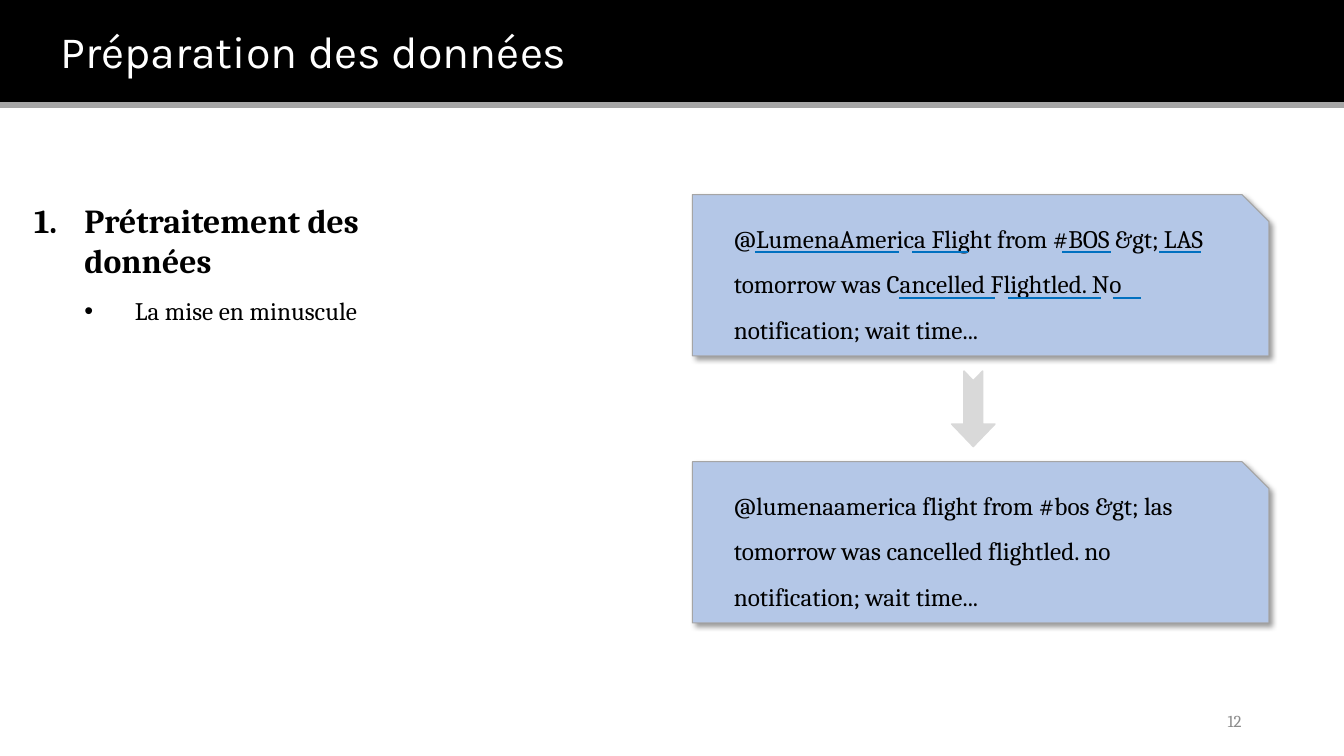
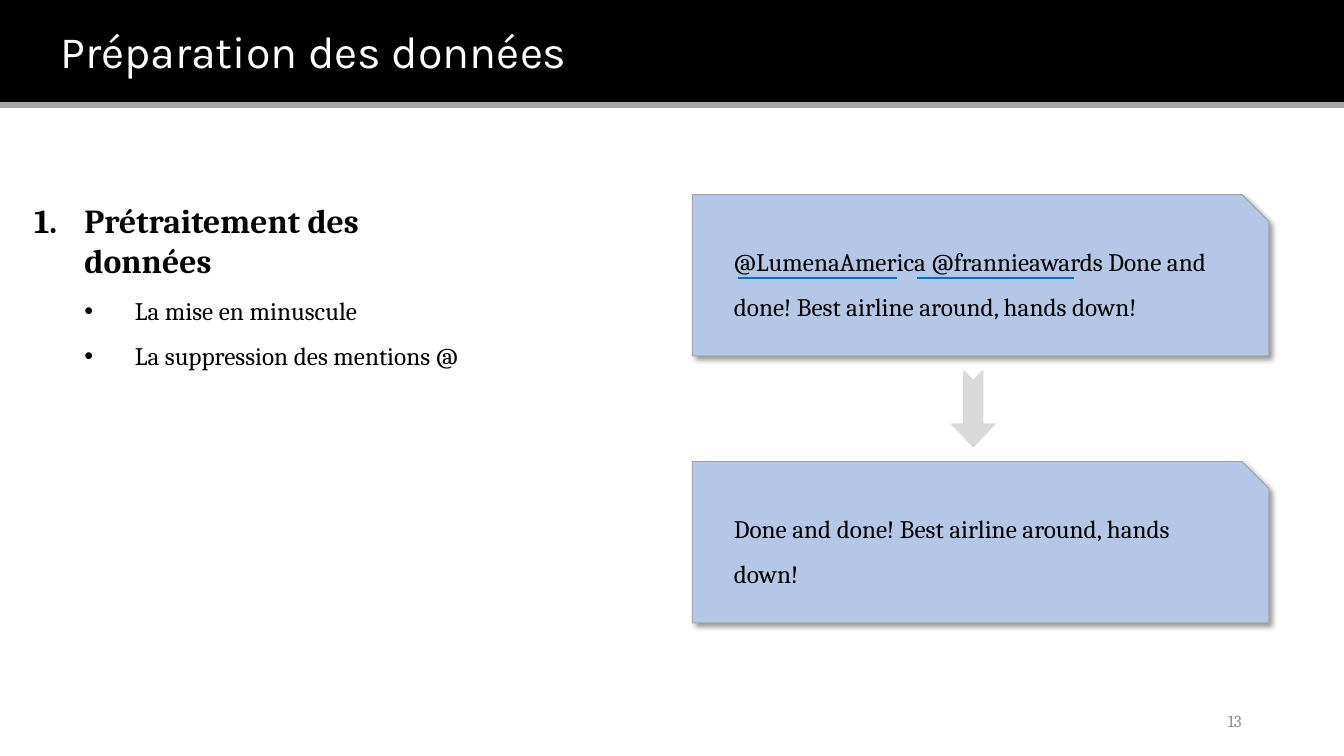
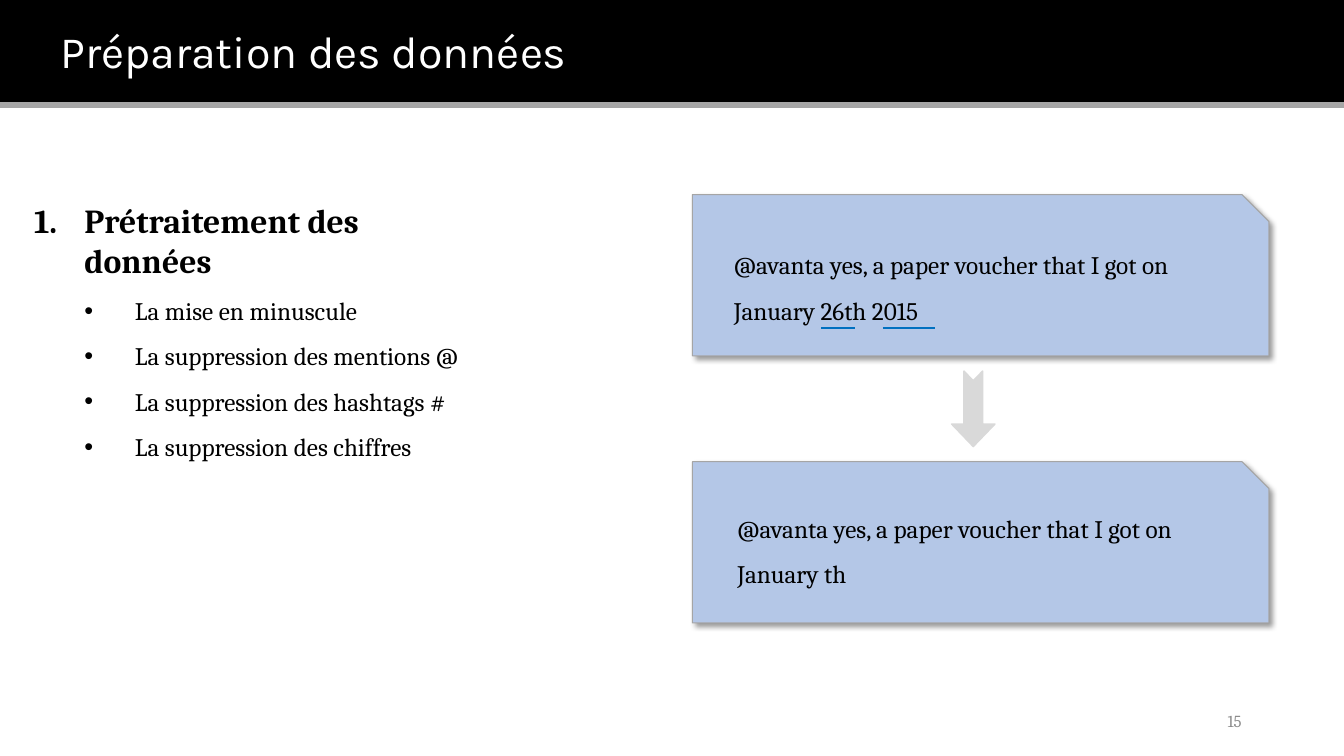
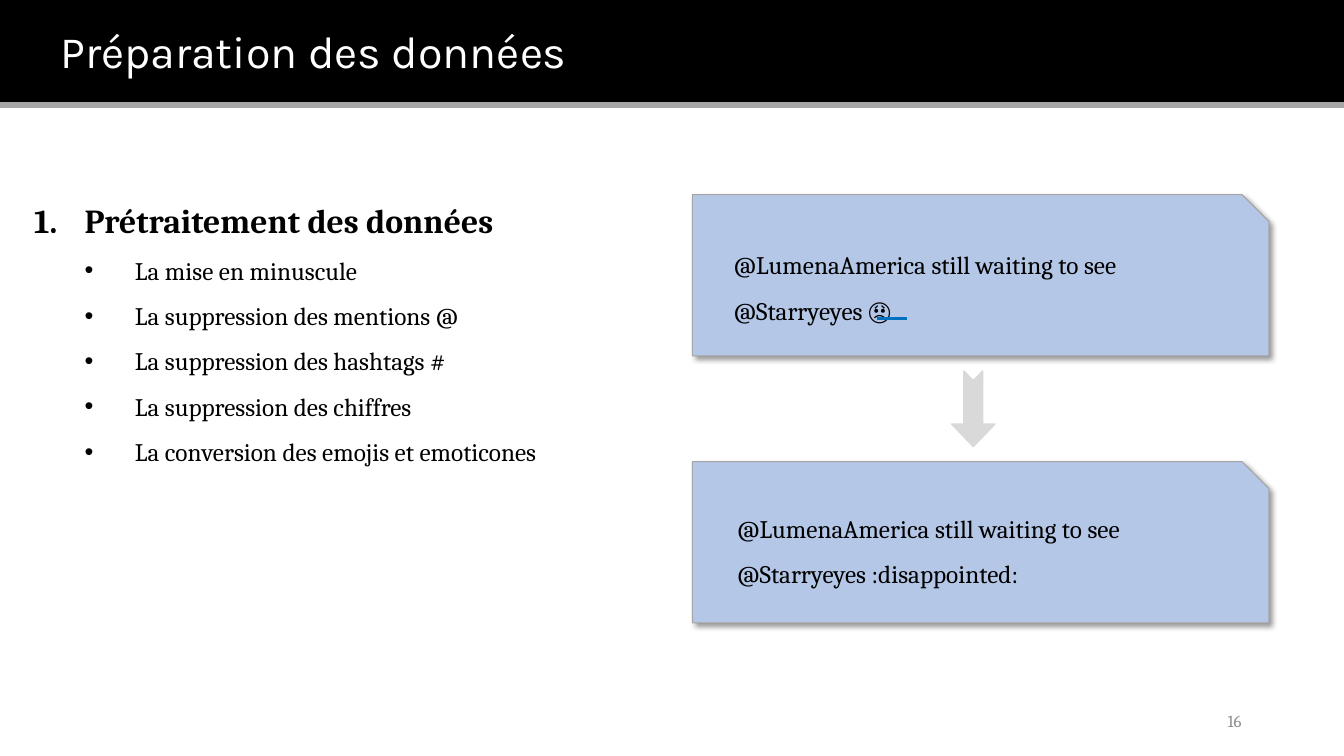
from dataclasses import dataclass

from lxml import etree
from pptx import Presentation
from pptx.dml.color import RGBColor
from pptx.enum.shapes import MSO_CONNECTOR, MSO_SHAPE
from pptx.enum.text import MSO_ANCHOR, MSO_AUTO_SIZE, PP_ALIGN
from pptx.oxml import parse_xml
from pptx.oxml.ns import nsdecls, qn
from pptx.shapes.autoshape import Shape
from pptx.slide import Slide
from pptx.text.text import TextFrame, _Paragraph
from pptx.util import Pt

RECTANGLE = MSO_SHAPE.RECTANGLE
SNIPPED_CARD = MSO_SHAPE.SNIP_1_RECTANGLE
NOTCHED_ARROW = MSO_SHAPE.NOTCHED_RIGHT_ARROW
STRAIGHT = MSO_CONNECTOR.STRAIGHT
MIDDLE = MSO_ANCHOR.MIDDLE
LEFT = PP_ALIGN.LEFT
RIGHT = PP_ALIGN.RIGHT
GROW = MSO_AUTO_SIZE.SHAPE_TO_FIT_TEXT

BLACK = RGBColor(0x00, 0x00, 0x00)
WHITE = RGBColor(0xFF, 0xFF, 0xFF)
BAND_GREY = RGBColor(0xA6, 0xA6, 0xA6)
PAGE_GREY = RGBColor(0x8C, 0x8C, 0x8C)
CARD_BLUE = RGBColor(0xB4, 0xC7, 0xE7)
CARD_EDGE = RGBColor(0xA5, 0xA5, 0xA5)
ARROW_GREY = RGBColor(0xD9, 0xD9, 0xD9)
MARK_BLUE = RGBColor(0x00, 0x70, 0xC0)

TITLE_FONT = "Karla"
BODY_FONT = "Cambria"
TITLE = "Préparation des données"
HEADING = "Prétraitement des données"
STEPS = (
    "La mise en minuscule",
    "La suppression des mentions @",
    "La suppression des hashtags #",
    "La suppression des chiffres",
    "La conversion des emojis et emoticones",
)

SLIDE_W, SLIDE_H = 960, 540
INDENT = 36
LINE_H = 32.8
CARD_X, CARD_W, CARD_H = 494.6, 411.8, 115.2
BEFORE_Y, AFTER_Y = 139, 329.8
ARROW_X, ARROW_W, ARROW_H = 668.2, 54, 31

CARD_SHADOW = (
    f'<a:effectLst {nsdecls("a")}><a:outerShdw blurRad="50800" dist="38100" '
    'dir="2700000" algn="tl" rotWithShape="0"><a:srgbClr val="000000">'
    '<a:alpha val="40000"/></a:srgbClr></a:outerShdw></a:effectLst>'
)


@dataclass(frozen=True)
class Tweet:
    text: str
    lines: int
    inset: float = 22.5
    drop: float = 0


@dataclass(frozen=True)
class Mark:
    start: float
    end: float
    y: float


@dataclass(frozen=True)
class Example:
    page: int
    step_count: int
    list_width: float
    before: Tweet
    after: Tweet
    marks: tuple[Mark, ...]


EXAMPLES = (
    Example(
        12, 1, 327,
        Tweet("@LumenaAmerica Flight from #BOS &gt; LAS tomorrow was Cancelled "
              "Flightled. No notification; wait time...", 3),
        Tweet("@lumenaamerica flight from #bos &gt; las tomorrow was cancelled "
              "flightled. no notification; wait time...", 3),
        (Mark(539.3, 642.2, 180), Mark(651.6, 691.2, 180),
         Mark(758.9, 793.4, 180), Mark(828, 858.2, 180),
         Mark(642.2, 710.6, 213), Mark(720, 786.2, 213), Mark(794.9, 815, 213)),
    ),
    Example(
        13, 2, 332,
        Tweet("@LumenaAmerica @frannieawards Done and done! "
              "Best airline around, hands down!", 2),
        Tweet("Done and done! Best airline around, hands down!", 2),
        (Mark(527, 640.8, 198.7), Mark(655.2, 766.8, 198.7)),
    ),
    Example(
        15, 4, 332,
        Tweet("@avanta yes, a paper voucher that I got on January 26th 2015",
              2, drop=2.5),
        Tweet("@avanta yes, a paper voucher that I got on January th", 2, inset=25),
        (Mark(586.8, 610.6, 234), Mark(630.7, 668.2, 234)),
    ),
    Example(
        16, 5, 406,
        Tweet("@LumenaAmerica still waiting to see @Starryeyes 😞", 2, drop=2.5),
        Tweet("@LumenaAmerica still waiting to see @Starryeyes :disappointed:",
              2, inset=25),
        (Mark(626.4, 648, 227.5),),
    ),
)


def add_run(paragraph: _Paragraph, text: str, size: float, color: RGBColor = BLACK,
            font: str = BODY_FONT, bold: bool = False) -> None:
    run = paragraph.add_run()
    run.text = text
    run.font.size = Pt(size)
    run.font.name = font
    run.font.bold = bold
    run.font.color.rgb = color


def add_block(slide: Slide, kind: MSO_SHAPE, x: float, y: float, w: float, h: float,
              fill: RGBColor, edge: RGBColor, edge_width: float = 1) -> Shape:
    block = slide.shapes.add_shape(kind, Pt(x), Pt(y), Pt(w), Pt(h))
    block.shadow.inherit = False
    block.fill.solid()
    block.fill.fore_color.rgb = fill
    block.line.color.rgb = edge
    block.line.width = Pt(edge_width)
    return block


def add_text_area(slide: Slide, x: float, y: float, w: float, h: float) -> TextFrame:
    frame = slide.shapes.add_textbox(Pt(x), Pt(y), Pt(w), Pt(h)).text_frame
    frame.word_wrap = True
    return frame


def set_marker(paragraph: _Paragraph, margin: float, tag: str, **attributes: str) -> None:
    properties = paragraph._p.get_or_add_pPr()
    properties.set("marL", str(Pt(margin)))
    properties.set("indent", str(Pt(-INDENT)))
    if tag == "a:buChar":
        etree.SubElement(properties, qn("a:buFont"), typeface="Arial")
    etree.SubElement(properties, qn(tag), **attributes)


def add_frame(slide: Slide, page: int) -> None:
    header = add_block(slide, RECTANGLE, 0, 0, SLIDE_W, 72.7, BLACK, BLACK)
    header.text_frame.vertical_anchor = MIDDLE
    title = header.text_frame.paragraphs[0]
    title.level = 1
    title.alignment = LEFT
    title._p.get_or_add_pPr().set("marL", str(Pt(INDENT)))
    add_run(title, TITLE, 32, WHITE, TITLE_FONT)
    add_block(slide, RECTANGLE, 0, 73.4, SLIDE_W, 3.6, BAND_GREY, BAND_GREY)
    footer = add_text_area(slide, 678, 500.5, 216, 28.75)
    footer.vertical_anchor = MIDDLE
    footer.paragraphs[0].alignment = RIGHT
    add_run(footer.paragraphs[0], str(page), 12, PAGE_GREY)


def add_steps(slide: Slide, count: int, width: float) -> None:
    frame = add_text_area(slide, 17.3, BEFORE_Y, width, 33.5 + LINE_H * count)
    frame.auto_size = GROW
    heading = frame.paragraphs[0]
    set_marker(heading, INDENT, "a:buAutoNum", type="arabicPeriod")
    add_run(heading, HEADING, 24, bold=True)
    for step in STEPS[:count]:
        item = frame.add_paragraph()
        item.level = 1
        set_marker(item, 2 * INDENT, "a:buChar", char="•")
        item.line_spacing = 1.5
        add_run(item, step, 18)


def add_tweet(slide: Slide, tweet: Tweet, card_y: float) -> None:
    card = add_block(slide, SNIPPED_CARD, CARD_X, card_y, CARD_W, CARD_H,
                     CARD_BLUE, CARD_EDGE, 0.75)
    properties = card._element.spPr
    properties.replace(properties.find(qn("a:effectLst")), parse_xml(CARD_SHADOW))
    height = 4.5 + LINE_H * tweet.lines
    frame = add_text_area(slide, CARD_X + tweet.inset,
                          card_y + (CARD_H - height) / 2 + tweet.drop, 366.5, height)
    frame.auto_size = GROW
    frame.paragraphs[0].line_spacing = 1.5
    add_run(frame.paragraphs[0], tweet.text, 18)


def add_mark(slide: Slide, mark: Mark) -> None:
    underline = slide.shapes.add_connector(
        STRAIGHT, Pt(mark.start), Pt(mark.y), Pt(mark.end), Pt(mark.y))
    underline.line.color.rgb = MARK_BLUE
    underline.line.width = Pt(1.5)
    etree.SubElement(underline._element.spPr, qn("a:effectLst"))


def add_arrow(slide: Slide) -> None:
    middle = (BEFORE_Y + CARD_H + AFTER_Y) / 2
    arrow = add_block(slide, NOTCHED_ARROW, ARROW_X, middle - ARROW_H / 2,
                      ARROW_W, ARROW_H, ARROW_GREY, ARROW_GREY)
    arrow.rotation = 90
    arrow.adjustments[0] = 0.43
    arrow.adjustments[1] = 0.52


def main() -> None:
    deck = Presentation()
    deck.slide_width = Pt(SLIDE_W)
    deck.slide_height = Pt(SLIDE_H)
    blank = deck.slide_layouts[6]
    for example in EXAMPLES:
        slide = deck.slides.add_slide(blank)
        add_frame(slide, example.page)
        add_steps(slide, example.step_count, example.list_width)
        add_tweet(slide, example.before, BEFORE_Y)
        for mark in example.marks:
            add_mark(slide, mark)
        add_tweet(slide, example.after, AFTER_Y)
        add_arrow(slide)
    deck.save("out.pptx")


if __name__ == "__main__":
    main()
